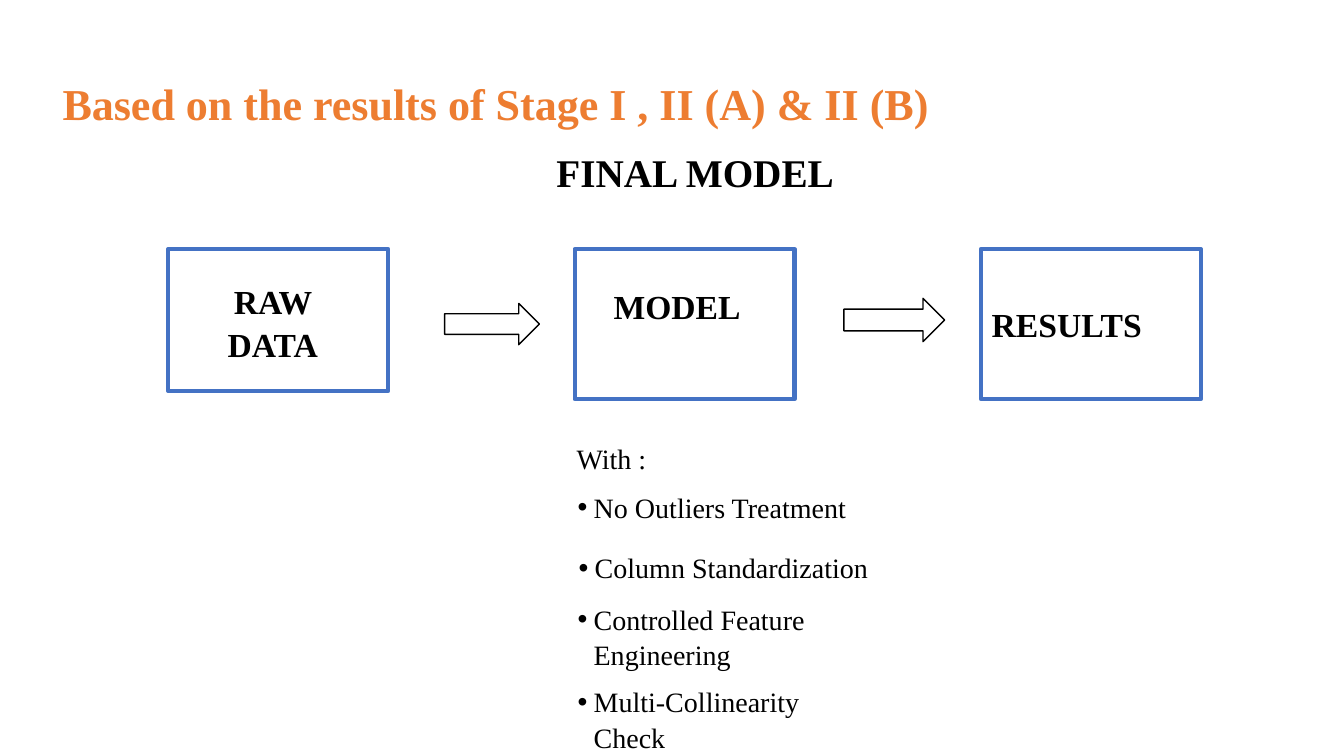
from pptx import Presentation
from pptx.dml.color import RGBColor
from pptx.enum.shapes import MSO_SHAPE as Kind
from pptx.enum.text import MSO_ANCHOR as Anchor, PP_ALIGN as Align
from pptx.oxml.ns import qn
from pptx.util import Pt
from lxml.etree import SubElement as sub

PX = 9144  # one px is a hundredth of an inch
FONT = "Times New Roman"
ORANGE = RGBColor(0xED, 0x7D, 0x31)
BLUE = RGBColor(0x44, 0x72, 0xC4)
BLACK = RGBColor(0, 0, 0)
WHITE = RGBColor(255, 255, 255)


def scale(*sizes):
    return [size * PX for size in sizes]


def style(shape, text, size, color=BLACK, bold=False, align=Align.LEFT):
    frame = shape.text_frame
    frame.text = text
    frame.word_wrap = True
    frame.vertical_anchor = Anchor.TOP
    para = frame.paragraphs[0]
    para.alignment = align
    para.line_spacing = 1.05
    font = para.runs[0].font
    font.name, font.size, font.bold = FONT, Pt(size), bold
    font.color.rgb = color
    return para


def add_text(slide, at, text, size, **look):
    return style(slide.shapes.add_textbox(*scale(*at)), text, size, **look)


def add_bullet(slide, at, text):
    props = add_text(slide, at, text, 20)._p.get_or_add_pPr()
    indent = 16 * PX
    props.set("marL", str(indent))
    props.set("indent", str(-indent))
    sub(props, qn("a:buFont"), typeface="Arial")
    sub(props, qn("a:buChar"), char="•")


def add_form(slide, kind, at, color, width):
    form = slide.shapes.add_shape(kind, *scale(*at))
    form.shadow.inherit = False
    form.fill.solid()
    form.fill.fore_color.rgb = WHITE
    form.line.color.rgb = color
    form.line.width = Pt(width)


def main():
    deck = Presentation()
    deck.slide_width, deck.slide_height = scale(1333, 750)
    slide = deck.slides.add_slide(deck.slide_layouts[5])

    # Headings
    title = slide.shapes.title
    title.left, title.top, title.width, title.height = scale(52, 68, 885, 63)
    style(title, "Based on the results of Stage I , II (A) & II (B)", 31.5,
          color=ORANGE, bold=True)
    add_text(slide, (542, 140, 324, 57), "FINAL MODEL", 28, bold=True)

    # Stages: box height, then label and its place
    stages = [
        (141, "RAW DATA", (188, 272, 165, 91)),
        (149, "MODEL", (574, 277, 195, 50)),
        (149, "RESULTS", (961, 295, 194, 50)),
    ]
    for i, (high, label, at) in enumerate(stages):
        add_form(slide, Kind.RECTANGLE, (167 + 403 * i, 247, 218, high), BLUE, 3)
        add_text(slide, at, label, 24, bold=True, align=Align.CENTER)

    # Arrows between the stages
    for at in [(441, 301, 94, 41), (837, 296, 100, 43)]:
        add_form(slide, Kind.RIGHT_ARROW, at, BLACK, 1)

    # Model settings
    add_text(slide, (562, 431, 206, 44), "With :", 20)
    points = [
        ((563, 480, 322, 44), "No Outliers Treatment"),
        ((564, 540, 324, 44), "Column Standardization"),
        ((563, 591, 254, 77), "Controlled Feature Engineering"),
        ((563, 673, 254, 77), "Multi-Collinearity Check"),
    ]
    for at, text in points:
        add_bullet(slide, at, text)

    deck.save("out.pptx")


if __name__ == "__main__":
    main()
